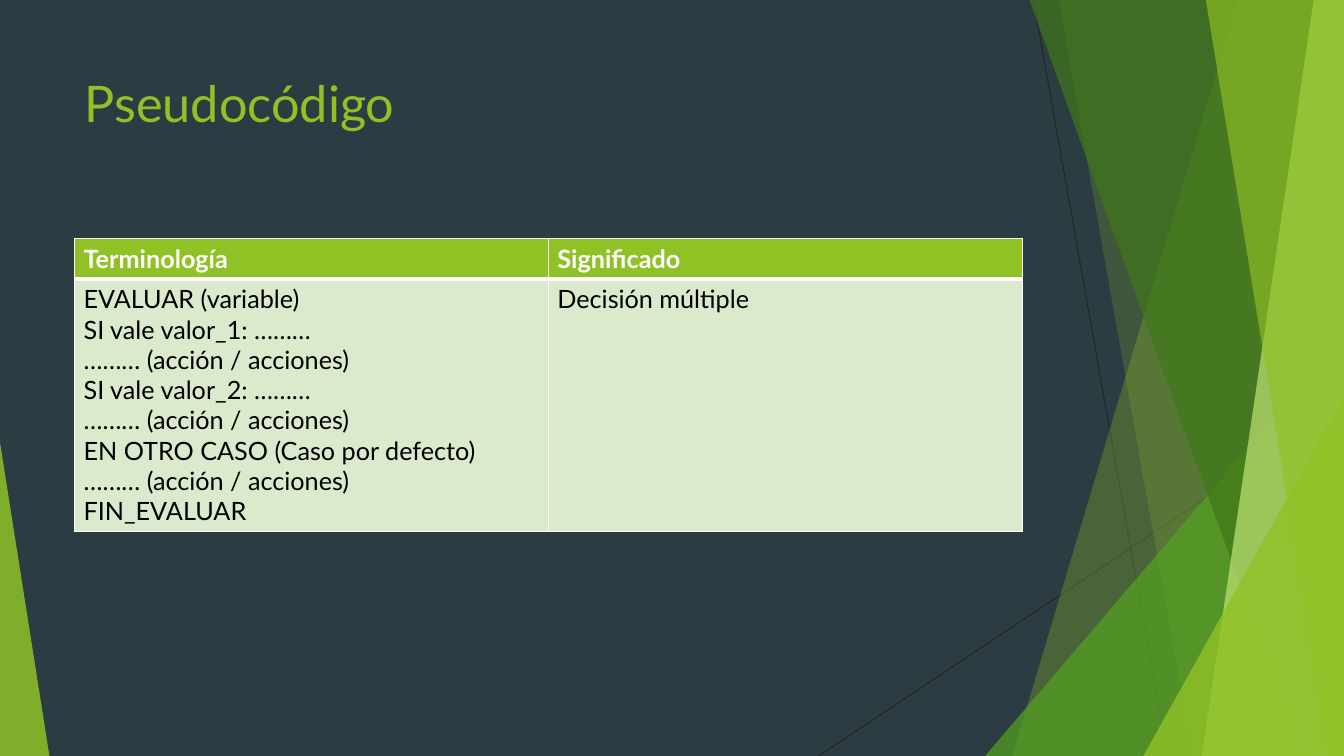
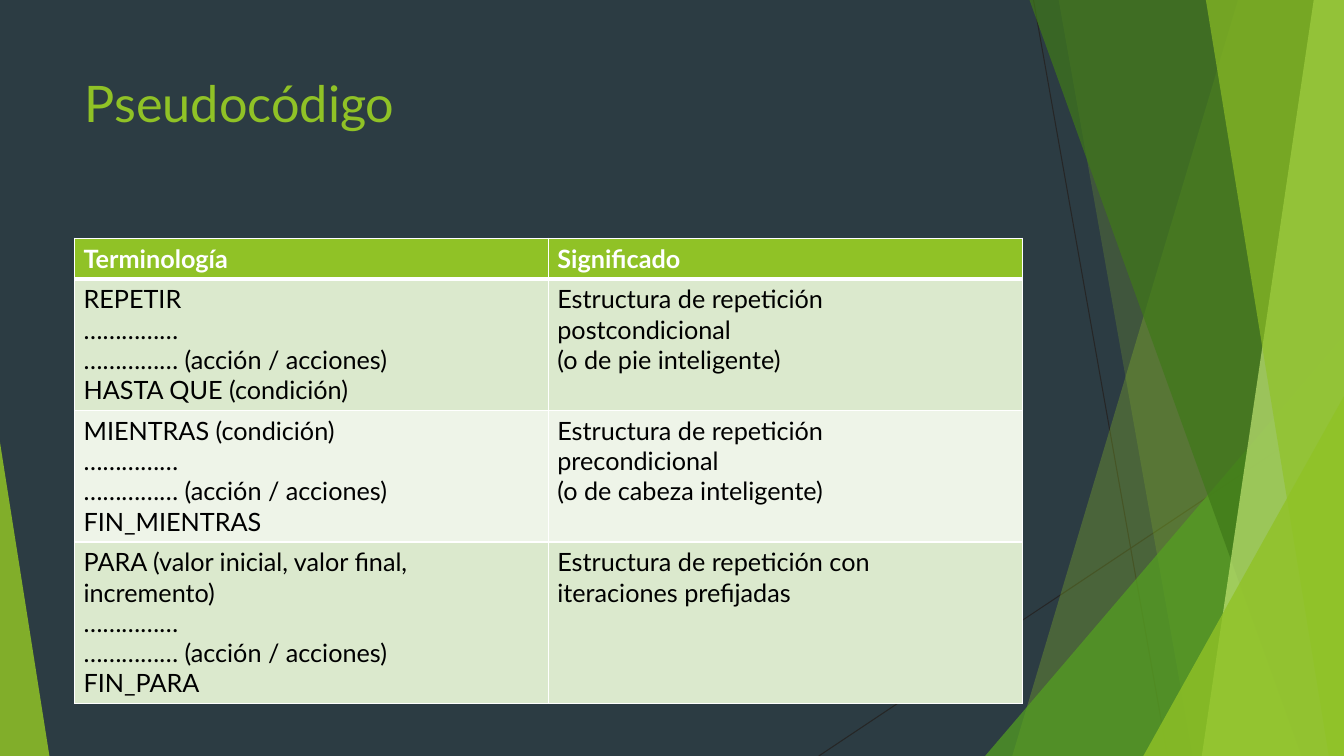
"""Build two slides on pseudocode vocabulary."""
from math import ceil

from lxml import etree
from pptx import Presentation
from pptx import util as u
from pptx.dml.color import RGBColor
from pptx.enum import shapes, text
from pptx.oxml import ns

WIDTH, HEIGHT = u.Inches(13.33), u.Inches(7.5)
FONT = "Lato"
NIGHT = RGBColor(0x2C, 0x3C, 0x43)
LIME = RGBColor(0x90, 0xC2, 0x26)
GREEN = RGBColor(0x54, 0xA0, 0x21)
FOREST = RGBColor(0x3F, 0x78, 0x19)
PALE_LIME = RGBColor(0xC0, 0xE4, 0x74)
CHARCOAL = RGBColor(0x26, 0x26, 0x26)
WHITE = RGBColor(0xFF, 0xFF, 0xFF)
BLACK = RGBColor(0, 0, 0)
BANDS = (RGBColor(0xDB, 0xE9, 0xCD), RGBColor(0xEE, 0xF4, 0xE8))

LEFT, CONTENT_WIDTH = 5.55, 70.5
TITLE_TOP, TITLE_HEIGHT, TABLE_TOP = 8.9, 19.2, 31.5
LINE_HEIGHT, CELL_PADDING, LINE_CHARS = 4.0, 1.4, 40

HEADINGS = (["Terminología"], ["Significado"])
ACTIONS = "……… (acción / acciones)"
LOOP_BODY = ["……………", "…………… (acción / acciones)"]
DECISION = [
    (["EVALUAR (variable)", "SI vale valor_1: ………", ACTIONS,
      "SI vale valor_2: ………", ACTIONS,
      "EN OTRO CASO (Caso por defecto)", ACTIONS, "FIN_EVALUAR"],
     ["Decisión múltiple"]),
]
LOOPS = [
    (["REPETIR", *LOOP_BODY, "HASTA QUE (condición)"],
     ["Estructura de repetición", "postcondicional", "(o de pie inteligente)"]),
    (["MIENTRAS (condición)", *LOOP_BODY, "FIN_MIENTRAS"],
     ["Estructura de repetición", "precondicional", "(o de cabeza inteligente)"]),
    (["PARA (valor inicial, valor final, incremento)", *LOOP_BODY, "FIN_PARA"],
     ["Estructura de repetición con", "iteraciones prefijadas"]),
]


def across(percent):
    """Turn a percentage of the slide width into a length."""
    return u.Emu(round(WIDTH * percent / 100))


def down(percent):
    """Turn a percentage of the slide height into a length."""
    return u.Emu(round(HEIGHT * percent / 100))


def tint(facet, color, opacity):
    """Fill a facet with a see-through colour and no outline."""
    facet.shadow.inherit = False
    facet.line.fill.background()
    facet.fill.solid()
    facet.fill.fore_color.rgb = color
    shade = facet.element.spPr.xpath("./a:solidFill/a:srgbClr")[0]
    etree.SubElement(shade, ns.qn("a:alpha"), val=str(opacity * 1000))
    return facet


def add_ray(slide, x1, y1, x2, y2):
    """Draw one thin dark line."""
    ray = slide.shapes.add_connector(
        shapes.MSO_CONNECTOR.STRAIGHT, across(x1), down(y1), across(x2), down(y2))
    ray.line.color.rgb = CHARCOAL
    ray.line.width = u.Pt(0.75)
    etree.SubElement(ray.element.spPr, ns.qn("a:effectLst"))
    return ray


def add_panel(slide, top_x, bottom_x, color, opacity):
    """Draw a full-height panel from a slanted edge to the right side."""
    outline = slide.shapes.build_freeform(across(top_x), 0)
    outline.add_line_segments(
        [(WIDTH, 0), (WIDTH, HEIGHT), (across(bottom_x), HEIGHT)], close=True)
    return tint(outline.convert_to_shape(), color, opacity)


def add_corner(slide, left, top, width, apex, color, opacity):
    """Draw a triangle that stands on the bottom edge."""
    corner = slide.shapes.add_shape(
        shapes.MSO_SHAPE.ISOSCELES_TRIANGLE,
        across(left), down(top), across(width), down(100 - top))
    corner.adjustments[0] = apex
    return tint(corner, color, opacity)


def decorate(layout, slide):
    """Draw the facets on a slide and move them to its layout."""
    layout.background.fill.solid()
    layout.background.fill.fore_color.rgb = NIGHT
    for holder in list(layout.placeholders)[1:]:
        layout.shapes.element.remove(holder.element)
    facets = (
        add_ray(slide, 76.9, 0, 86.87, 100),
        add_ray(slide, 100, 53.7, 60.92, 100),
        add_panel(slide, 92.12, 75.32, LIME, 30),
        add_panel(slide, 78.77, 88.75, LIME, 20),
        add_corner(slide, 73.3, 44.4, 26.7, 1, GREEN, 72),
        add_panel(slide, 76.6, 96.85, FOREST, 70),
        add_panel(slide, 97.75, 89.42, PALE_LIME, 70),
        add_panel(slide, 89.72, 98.87, LIME, 65),
        add_corner(slide, 85.07, 52.4, 14.93, 1, LIME, 80),
        add_corner(slide, 0, 58.5, 3.68, 0, LIME, 85),
    )
    for facet in facets:
        layout.shapes.element.append(facet.element)


def add_title(slide, wording):
    """Place and format the slide title."""
    title = slide.shapes.title
    title.left, title.top = across(LEFT), down(TITLE_TOP)
    title.width, title.height = across(CONTENT_WIDTH), down(TITLE_HEIGHT)
    frame = title.text_frame
    frame.text = wording
    frame.vertical_anchor = text.MSO_ANCHOR.TOP
    heading = frame.paragraphs[0]
    heading.alignment = text.PP_ALIGN.LEFT
    style(heading, 36, LIME)


def style(paragraph, size, color, bold=False):
    """Set the font of a paragraph."""
    paragraph.font.name = FONT
    paragraph.font.size = u.Pt(size)
    paragraph.font.bold = bold
    paragraph.font.color.rgb = color


def set_borders(cell, top, bottom):
    """Give a cell white borders."""
    properties = cell._tc.get_or_add_tcPr()
    for side, points in (("L", 1), ("R", 1), ("T", top), ("B", bottom)):
        border = etree.SubElement(
            properties, ns.qn(f"a:ln{side}"), w=str(u.Pt(points)))
        paint = etree.SubElement(border, ns.qn("a:solidFill"))
        etree.SubElement(paint, ns.qn("a:srgbClr"), val=str(WHITE))


def row_height(entries):
    """Work out a row height from its longest entry."""
    lines = max(sum(ceil(len(line) / LINE_CHARS) for line in entry)
                for entry in entries)
    return down(lines * LINE_HEIGHT + CELL_PADDING)


def add_glossary(slide, terms):
    """Add the table of terms and meanings."""
    rows = [HEADINGS, *terms]
    heights = [row_height(entries) for entries in rows]
    glossary = slide.shapes.add_table(
        len(rows), len(HEADINGS), across(LEFT), down(TABLE_TOP),
        across(CONTENT_WIDTH), sum(heights)).table
    glossary.horz_banding = False
    for number, entries in enumerate(rows):
        glossary.rows[number].height = heights[number]
        header = number == 0
        for column, entry in enumerate(entries):
            cell = glossary.cell(number, column)
            set_borders(cell, 3 if number == 1 else 1, 3 if header else 1)
            cell.fill.solid()
            cell.fill.fore_color.rgb = LIME if header else BANDS[(number - 1) % 2]
            cell.margin_left = cell.margin_right = u.Inches(0.09)
            cell.text = "\n".join(entry)
            for paragraph in cell.text_frame.paragraphs:
                style(paragraph, 18, WHITE if header else BLACK, header)


def main():
    """Build and save the presentation."""
    deck = Presentation()
    deck.slide_width, deck.slide_height = WIDTH, HEIGHT
    layout = deck.slide_layouts[5]
    for terms in (DECISION, LOOPS):
        slide = deck.slides.add_slide(layout)
        add_title(slide, "Pseudocódigo")
        add_glossary(slide, terms)
    decorate(layout, deck.slides[0])
    deck.save("out.pptx")


if __name__ == "__main__":
    main()
